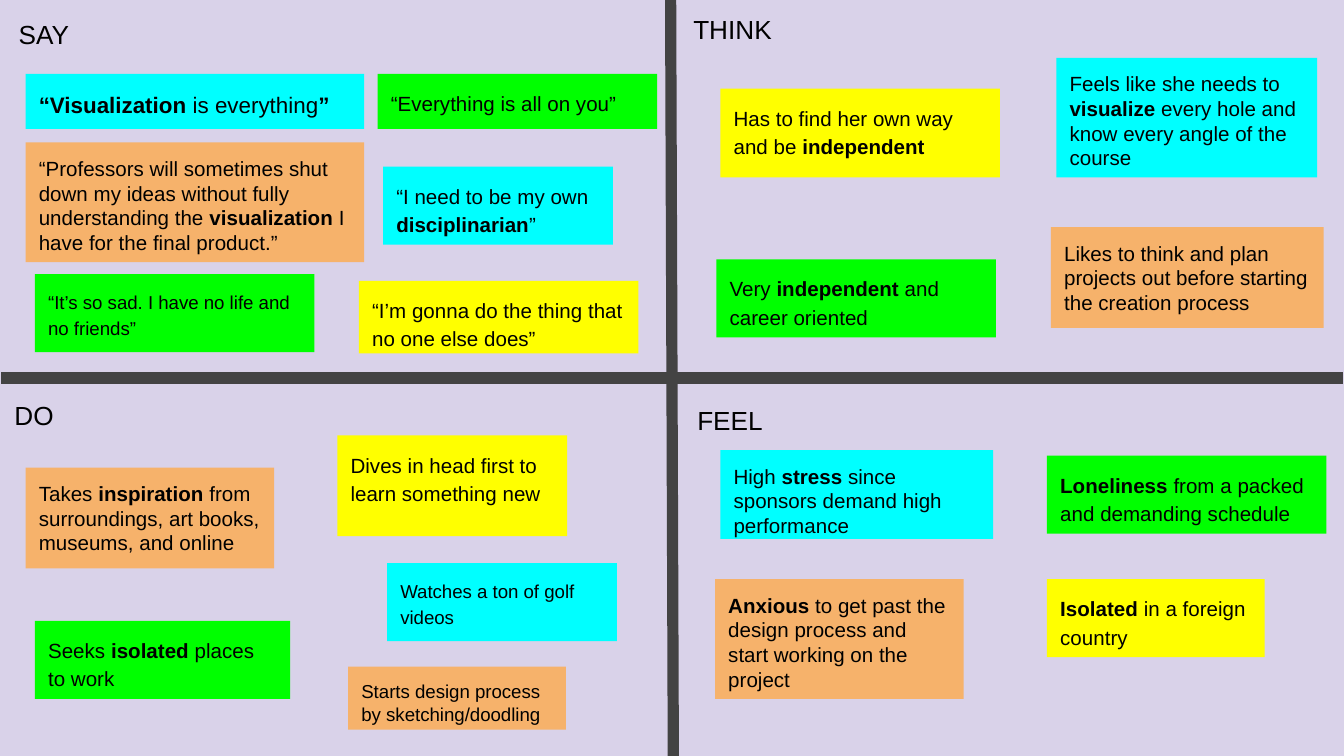
from lxml import etree
from pptx import Presentation, util as u
from pptx.dml.color import RGBColor
from pptx.enum import shapes, text
from pptx.oxml import ns

COLUMNS = 100
WIDTH = u.Inches(10)
HEIGHT = WIDTH * 9 // 16
CELL = WIDTH // COLUMNS
ROWS = HEIGHT / CELL

CYAN, GREEN, YELLOW, ORANGE = "00FFFF", "00FF00", "FFFF00", "F6B26B"

HEADINGS = [
    ("SAY", (0.4, 0.4, 15.6, 4.7)),
    ("DO", (0.1, 28.7, 7.3, 3.7)),
    ("THINK", (50.6, 0, 9.1, 4.7)),
    ("FEEL", (50.9, 29.1, 7.3, 4.1)),
]

SAY_NOTES = [
    (CYAN, (1.9, 5.5, 25.2, 4.1), "**“Visualization **is everything**”**", {"size": 12}),
    (CYAN, (28.5, 12.4, 17.1, 5.8), "“I need to be my own **disciplinarian**”", {}),
    (GREEN, (28.1, 5.5, 20.8, 4.1), "“Everything is all on you”", {}),
    (GREEN, (2.6, 20.4, 20.8, 5.8),
     "“It’s so sad. I have no life and no friends”", {"size": 10}),
    (ORANGE, (1.9, 10.6, 25.2, 8.9),
     "“Professors will sometimes shut down my ideas without fully understanding "
     "the **visualization** I have for the final product.”", {"spacing": 1}),
    (YELLOW, (26.7, 20.9, 20.8, 5.4), "“I’m gonna do the thing that no one else does”", {}),
]

THINK_NOTES = [
    (YELLOW, (53.6, 6.6, 20.8, 6.6), "Has to find her own way and be **independent**", {}),
    (GREEN, (53.3, 19.3, 20.8, 5.8), "Very **independent** and career oriented", {}),
    (CYAN, (78.6, 4.3, 19.4, 8.9),
     "Feels like she needs to **visualize** every hole and know every angle "
     "of the course", {"spacing": 1}),
    (ORANGE, (78.2, 16.9, 20.3, 7.5),
     "Likes to think and plan projects out before starting the creation process",
     {"spacing": 1}),
]

DO_NOTES = [
    (ORANGE, (1.9, 34.8, 18.5, 7.5),
     "Takes **inspiration** from surroundings, art books, museums, and online",
     {"spacing": 1}),
    (GREEN, (2.6, 46.2, 19, 5.8), "Seeks **isolated** places to work", {}),
    (CYAN, (28.8, 41.9, 17.1, 5.8), "Watches a ton of golf videos", {"size": 10}),
    (ORANGE, (25.9, 49.6, 16.2, 4.7),
     "Starts design process by sketching/doodling", {"size": 10, "spacing": 1}),
    (YELLOW, (25.1, 32.4, 17.1, 7.5), "Dives in head first to learn something new", {}),
]

FEEL_NOTES = [
    (CYAN, (53.6, 33.5, 20.3, 6.6),
     "High **stress** since sponsors demand high performance", {"spacing": 1}),
    (ORANGE, (53.2, 43.1, 18.5, 8.9),
     "**Anxious** to get past the design process and start working on the project",
     {"spacing": 1}),
    (GREEN, (77.9, 33.9, 20.8, 5.8),
     "**Loneliness** from a packed and demanding schedule", {}),
    (YELLOW, (77.9, 43.1, 16.2, 5.8), "**Isolated** in a foreign country", {}),
]


def color(value):
    return RGBColor.from_string(value)


def grid(*cells):
    return [round(cell * CELL) for cell in cells]


def write(shape, content, size=11, spacing=1.15):
    frame = shape.text_frame
    frame.word_wrap = True
    frame.vertical_anchor = text.MSO_ANCHOR.TOP
    frame.margin_left = frame.margin_right = u.Inches(0.1)
    frame.margin_top = frame.margin_bottom = u.Inches(0.1)
    paragraph = frame.paragraphs[0]
    paragraph.alignment = text.PP_ALIGN.LEFT
    paragraph.line_spacing = spacing
    for index, part in enumerate(content.split("**")):
        if part:
            run = paragraph.add_run()
            run.text = part
            run.font.name = "Arial"
            run.font.size = u.Pt(size)
            run.font.bold = index % 2 == 1
            run.font.color.rgb = color("000000")


def add_divider(slide, start, end):
    line = slide.shapes.add_connector(
        shapes.MSO_CONNECTOR.STRAIGHT, *grid(*start), *grid(*end))
    line.line.color.rgb = color("434343")
    line.line.width = u.Pt(6)
    etree.SubElement(line._element.spPr, ns.qn("a:effectLst"))


def add_heading(slide, label, box):
    write(slide.shapes.add_textbox(*grid(*box)), label, size=14, spacing=1)


def add_note(slide, fill, box, content, style):
    shape = slide.shapes.add_shape(shapes.MSO_SHAPE.RECTANGLE, *grid(*box))
    shape.shadow.inherit = False
    shape.fill.solid()
    shape.fill.fore_color.rgb = color(fill)
    shape.line.fill.background()
    write(shape, content, **style)


def main():
    presentation = Presentation()
    presentation.slide_width, presentation.slide_height = WIDTH, HEIGHT
    slide = presentation.slides.add_slide(presentation.slide_layouts[6])
    slide.background.fill.solid()
    slide.background.fill.fore_color.rgb = color("D9D2E9")
    add_divider(slide, (49.9, 0), (50.1, ROWS))
    add_divider(slide, (99.9, ROWS / 2), (0.1, ROWS / 2))
    for heading in HEADINGS:
        add_heading(slide, *heading)
    for note in SAY_NOTES + THINK_NOTES + DO_NOTES + FEEL_NOTES:
        add_note(slide, *note)
    presentation.save("out.pptx")


if __name__ == "__main__":
    main()
